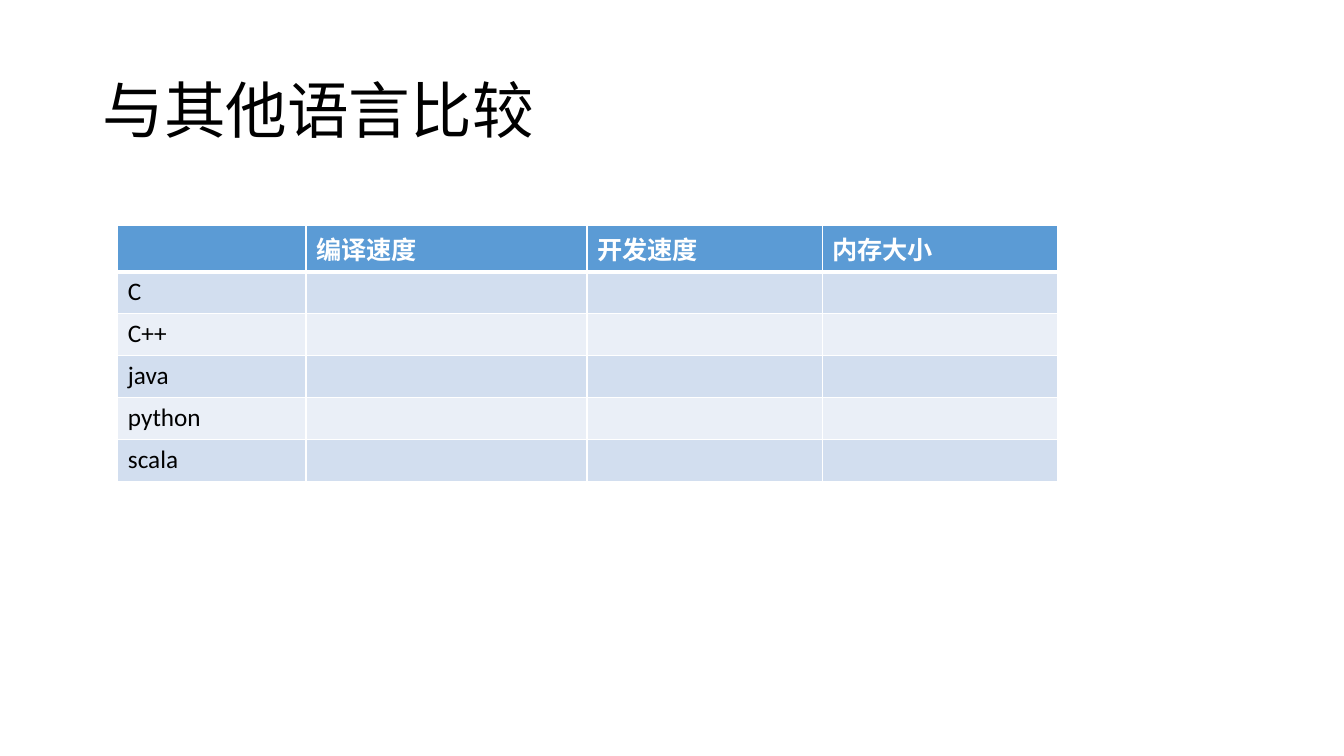
"""Build a slide with a table that compares programming languages."""
from dataclasses import dataclass

from lxml import etree
from pptx import Presentation
from pptx import util as u
from pptx.dml.color import RGBColor
from pptx.enum import text
from pptx.oxml import ns

COLORS = {
    "black": "000000",
    "white": "FFFFFF",
    "header": "5B9BD5",
    "odd": "D2DEEF",
    "even": "EAEFF7",
}
FONT = "Calibri"
COLUMN_WIDTHS = (134.4, 200.8, 168, 168)
LANGUAGES = ("C", "C++", "java", "python", "scala")


@dataclass(frozen=True)
class Row:
    labels: tuple[str, ...]
    fill: str
    height: float = 30
    color: str = "black"
    bold: bool = False
    top: float = 1
    bottom: float = 1


HEADER = Row(("", "编译速度", "开发速度", "内存大小"), "header", 32.4, "white", True, bottom=3)
ROWS = [HEADER] + [
    Row((name, "", "", ""), "even" if i % 2 else "odd", top=1 if i else 3)
    for i, name in enumerate(LANGUAGES)
]


def format_runs(p, size: float, color: str, bold: bool = False) -> None:
    for r in p.runs:
        r.font.name = FONT
        r.font.size = u.Pt(size)
        r.font.bold = bold
        r.font.color.rgb = RGBColor.from_string(COLORS[color])


def set_borders(cell, row: Row) -> None:
    tc_pr = cell._tc.get_or_add_tcPr()
    widths = {"lnL": 1, "lnR": 1, "lnT": row.top, "lnB": row.bottom}
    for i, (tag, width) in enumerate(widths.items()):
        ln = etree.Element(ns.qn(f"a:{tag}"), w=str(u.Pt(width)))
        fill = etree.SubElement(ln, ns.qn("a:solidFill"))
        etree.SubElement(fill, ns.qn("a:srgbClr"), val=COLORS["white"])
        tc_pr.insert(i, ln)


def fill_cell(cell, label: str, row: Row) -> None:
    cell.fill.solid()
    cell.fill.fore_color.rgb = RGBColor.from_string(COLORS[row.fill])
    set_borders(cell, row)
    p = cell.text_frame.paragraphs[0]
    p.font.size = u.Pt(18)
    if label:
        p.text = label
        format_runs(p, 18, row.color, row.bold)


def add_title(s, title: str) -> None:
    sp = s.shapes.title
    sp.left, sp.top, sp.width, sp.height = map(u.Pt, (66, 28.8, 828, 104.4))
    tf = sp.text_frame
    tf.text = title
    tf.word_wrap = True
    tf.auto_size = text.MSO_AUTO_SIZE.NONE
    tf.vertical_anchor = text.MSO_ANCHOR.MIDDLE
    p = tf.paragraphs[0]
    p.alignment = text.PP_ALIGN.LEFT
    p.line_spacing = 0.9
    format_runs(p, 44, "black")


def add_comparison(s) -> None:
    width, height = sum(COLUMN_WIDTHS), sum(row.height for row in ROWS)
    table = s.shapes.add_table(
        len(ROWS), len(COLUMN_WIDTHS), u.Pt(84.2), u.Pt(160.8), u.Pt(width), u.Pt(height)
    ).table
    table.horz_banding = False
    for column, column_width in zip(table.columns, COLUMN_WIDTHS):
        column.width = u.Pt(column_width)
    for table_row, row in zip(table.rows, ROWS):
        table_row.height = u.Pt(row.height)
        for cell, label in zip(table_row.cells, row.labels):
            fill_cell(cell, label, row)


def main() -> None:
    prs = Presentation()
    prs.slide_width, prs.slide_height = u.Pt(960), u.Pt(540)
    s = prs.slides.add_slide(prs.slide_layouts.get_by_name("Title Only"))
    add_title(s, "与其他语言比较")
    add_comparison(s)
    prs.save("out.pptx")


if __name__ == "__main__":
    main()
